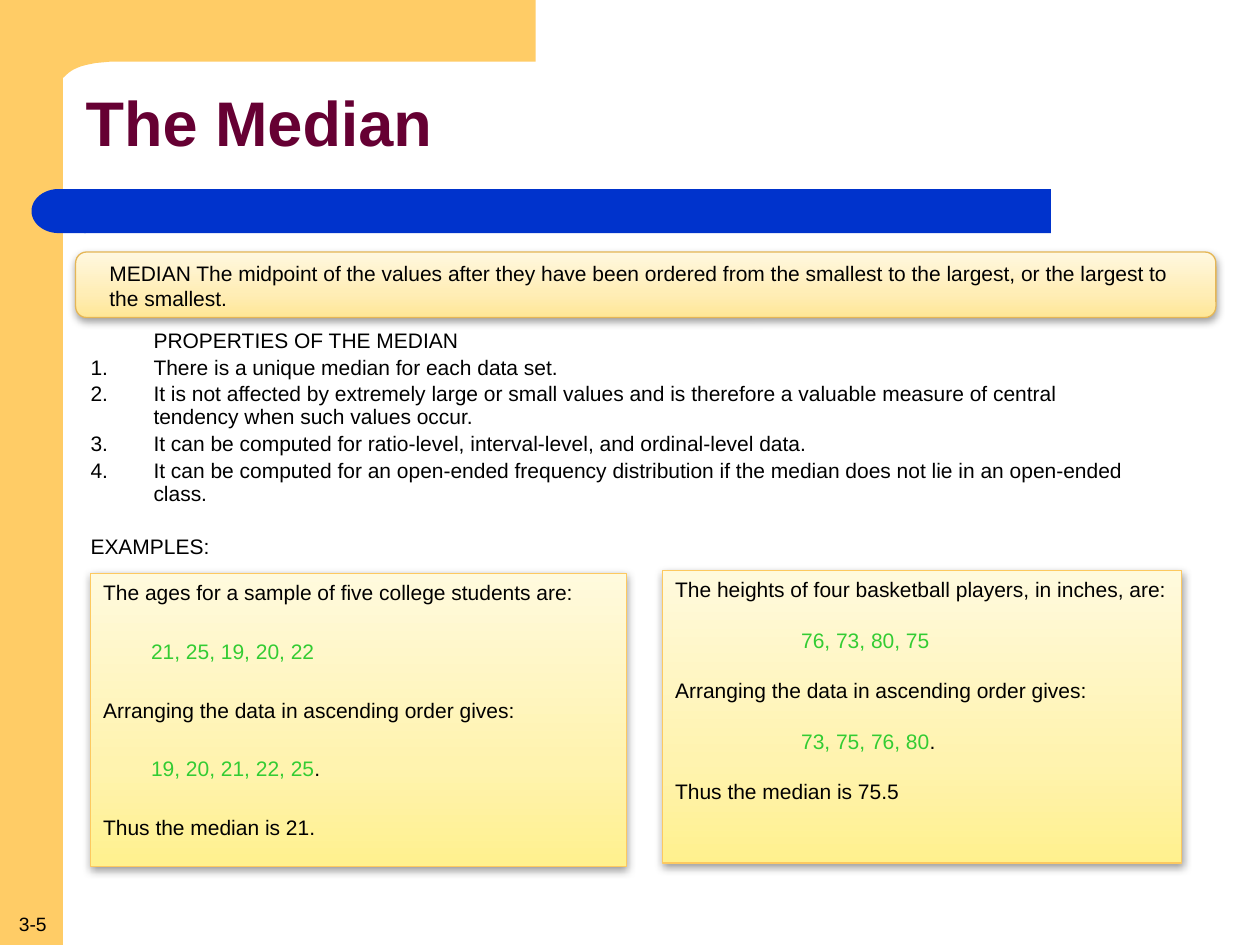
from dataclasses import dataclass

from lxml.etree import SubElement
from pptx import Presentation
from pptx.dml.color import RGBColor
from pptx.enum.shapes import MSO_SHAPE as Preset
from pptx.enum.text import MSO_ANCHOR as Anchor, PP_ALIGN as Align
from pptx.oxml.ns import qn
from pptx.util import Inches, Pt


@dataclass(frozen=True)
class Theme:
    font: str = "Arial"
    ink: str = "000000"
    heading: str = "660033"
    data: str = "33CC33"
    gold: str = "FFCC66"
    blue: str = "0033CC"
    definition_line: str = "E5B656"
    example_line: str = "FDC960"
    definition_fade: tuple = ((0, "FFE795"), (35, "FFEDB5"), (100, "FFF8E0"))
    example_fade: tuple = ((0, "FFF18E"), (35, "FFF3AF"), (100, "FFFADD"))
    title_size: int = 36
    body_size: int = 12
    number_size: int = 11


THEME = Theme()
PROPERTIES = (
    "There is a unique median for each data set.",
    "It is not affected by extremely large or small values and is therefore "
    "a valuable measure of central tendency when such values occur.",
    "It can be computed for ratio-level, interval-level, and ordinal-level data.",
    "It can be computed for an open-ended frequency distribution if the median "
    "does not lie in an open-ended class.",
)


def rgb(color):
    return RGBColor.from_string(color)


def inches(lengths):
    return [Inches(length) for length in lengths]


def style(paragraph, size=THEME.body_size, color=THEME.ink, bold=False):
    font = paragraph.font
    font.name, font.size, font.bold = THEME.font, Pt(size), bold
    font.color.rgb = rgb(color)


def indent(paragraph, margin, first=0):
    properties = paragraph._p.get_or_add_pPr()
    properties.set("marL", str(Inches(margin)))
    properties.set("indent", str(Inches(first)))
    return properties


def add_paragraph(frame, text, **look):
    started = bool(frame.paragraphs[0].runs)
    paragraph = frame.add_paragraph() if started else frame.paragraphs[0]
    paragraph.text = text
    paragraph.alignment = Align.LEFT
    style(paragraph, **look)
    return paragraph


def add_text_frame(slide, box):
    frame = slide.shapes.add_textbox(*inches(box)).text_frame
    frame.word_wrap = True
    return frame


def paint(shape, color):
    shape.shadow.inherit = False
    shape.fill.solid()
    shape.fill.fore_color.rgb = rgb(color)
    shape.line.fill.background()


def add_plain(slide, preset, box, color):
    shape = slide.shapes.add_shape(preset, *inches(box))
    paint(shape, color)
    return shape


def bezier(start, first, second, end, steps=6):
    for step in range(1, steps + 1):
        t = step / steps
        weights = ((1 - t) ** 3, 3 * t * (1 - t) ** 2, 3 * t * t * (1 - t), t ** 3)
        yield tuple(sum(w * p[axis] for w, p in zip(weights, (start, first, second, end)))
                    for axis in (0, 1))


def add_corner(slide):
    edge = [(4.25, 0.49), (0.87, 0.49), (0.76, 0.5)]
    edge += bezier((0.76, 0.5), (0.71, 0.51), (0.65, 0.52), (0.61, 0.54))
    edge += bezier((0.61, 0.54), (0.56, 0.56), (0.53, 0.59), (0.51, 0.61))
    edge += bezier((0.51, 0.61), (0.48, 0.63), (0.48, 0.66), (0.47, 0.68))
    edge += [(0.47, 0.75), (0, 0.75), (0, 0)]
    builder = slide.shapes.build_freeform(Inches(4.25), 0)
    builder.add_line_segments([inches(point) for point in edge], close=True)
    paint(builder.convert_to_shape(), THEME.gold)


def add_card(slide, preset, box, fade, line):
    card = slide.shapes.add_shape(preset, *inches(box))
    card.fill.gradient()
    card.fill.gradient_angle = 90
    card.line.color.rgb = rgb(line)
    card.line.width = Pt(0.75)
    card.shadow.inherit = False
    properties = card._element.spPr
    stops = properties.find(qn("a:gradFill")).find(qn("a:gsLst"))
    for stop in list(stops):
        stops.remove(stop)
    for position, color in fade:
        stop = SubElement(stops, qn("a:gs"), pos=str(position * 1000))
        SubElement(stop, qn("a:srgbClr"), val=color)
    shadow = SubElement(properties.find(qn("a:effectLst")), qn("a:outerShdw"),
                        blurRad=str(Pt(5)), dist=str(Pt(1.6)), dir="5400000",
                        rotWithShape="0")
    tint = SubElement(shadow, qn("a:srgbClr"), val=THEME.ink)
    SubElement(tint, qn("a:alpha"), val="38000")
    return card


def add_example(slide, box, subject, raw, ordered, result, margin, gap):
    card = add_card(slide, Preset.RECTANGLE, box, THEME.example_fade, THEME.example_line)
    frame = card.text_frame
    frame.word_wrap = True
    frame.vertical_anchor = Anchor.TOP
    add_paragraph(frame, subject)
    values = add_paragraph(frame, raw, color=THEME.data)
    arranging = add_paragraph(frame, "Arranging the data in ascending order gives:")
    sorted_values = add_paragraph(frame, ordered, color=THEME.data)
    period = sorted_values.add_run()
    period.text = "."
    period.font.color.rgb = rgb(THEME.ink)
    conclusion = add_paragraph(frame, result)
    for paragraph in (values, arranging, sorted_values, conclusion):
        paragraph.space_before = Pt(gap)
    for paragraph in (values, sorted_values):
        indent(paragraph, margin)


def add_background(slide):
    add_plain(slide, Preset.RECTANGLE, (0, 0, 0.5, 7.5), THEME.gold)
    add_corner(slide)
    add_plain(slide, Preset.RECTANGLE, (0.67, 1.5, 7.67, 0.35), THEME.blue)
    cap = add_plain(slide, Preset.FLOWCHART_DELAY, (0.25, 1.5, 0.43, 0.35), THEME.blue)
    cap.rotation = 180
    number = add_paragraph(add_text_frame(slide, (0, 7.19, 0.52, 0.28)), "3-5",
                           size=THEME.number_size)
    number.alignment = Align.CENTER


def add_title(slide, text):
    title = slide.shapes.title
    title.left, title.top, title.width, title.height = inches((0.58, 0.5, 8.67, 1))
    title.text_frame.vertical_anchor = Anchor.MIDDLE
    heading = add_paragraph(title.text_frame, text, size=THEME.title_size,
                            color=THEME.heading, bold=True)
    heading.line_spacing = 0.9


def add_properties(slide):
    frame = add_text_frame(slide, (0.62, 2.55, 8.59, 2.91))
    indent(add_paragraph(frame, "PROPERTIES OF THE MEDIAN"), 0.5)
    for text in PROPERTIES:
        item = add_paragraph(frame, text)
        item.line_spacing = 0.9
        item.space_before = Pt(2.4)
        SubElement(indent(item, 0.5, -0.5), qn("a:buAutoNum"), type="arabicPeriod")
    examples = add_paragraph(frame, "EXAMPLES:")
    examples.line_spacing = 0.9
    examples.space_before = Pt(17.8)


def add_definition(slide):
    add_card(slide, Preset.ROUNDED_RECTANGLE, (0.6, 2, 9.05, 0.52),
             THEME.definition_fade, THEME.definition_line)
    add_paragraph(add_text_frame(slide, (0.77, 2.02, 8.77, 0.51)),
                  "MEDIAN The midpoint of the values after they have been ordered "
                  "from the smallest to the largest, or the largest to the smallest.")


def main():
    deck = Presentation()
    deck.slide_width, deck.slide_height = Inches(10), Inches(7.5)
    slide = deck.slides.add_slide(deck.slide_layouts[5])
    add_background(slide)
    add_title(slide, "The Median")
    add_properties(slide)
    add_definition(slide)
    add_example(slide, (0.72, 4.55, 4.25, 2.33),
                "The ages for a sample of five college students are:",
                "21, 25, 19, 20, 22", "19, 20, 21, 22, 25",
                "Thus the median is 21.", margin=0.38, gap=19.2)
    add_example(slide, (5.26, 4.53, 4.12, 2.32),
                "The heights of four basketball players, in inches, are:",
                "76, 73, 80, 75", "73, 75, 76, 80",
                "Thus the median is 75.5", margin=1, gap=14.4)
    deck.save("out.pptx")


if __name__ == "__main__":
    main()
